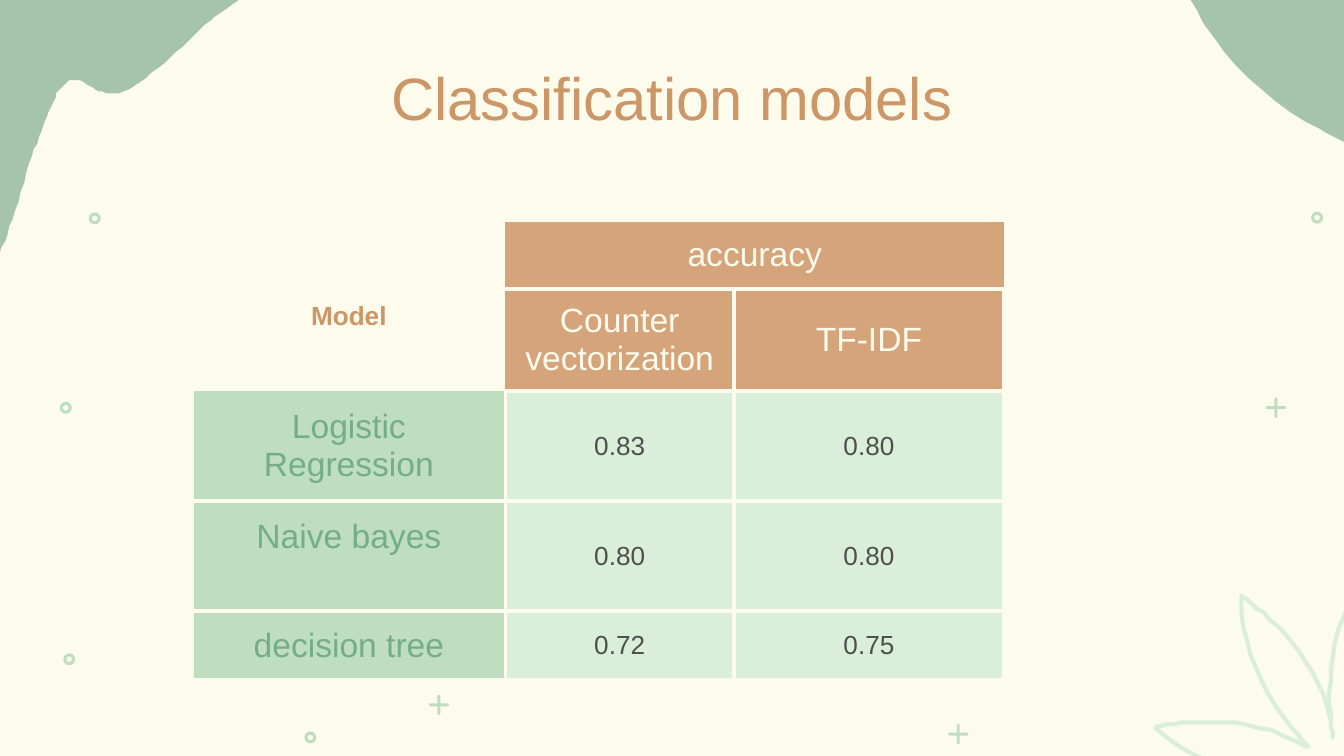
from dataclasses import dataclass
from typing import NamedTuple

from lxml.etree import SubElement
from pptx import Presentation
from pptx.dml.color import RGBColor
from pptx.enum.shapes import MSO_SHAPE
from pptx.enum.text import MSO_ANCHOR, PP_ALIGN
from pptx.oxml import parse_xml
from pptx.oxml.ns import nsdecls, qn
from pptx.util import Pt


@dataclass(frozen=True)
class Theme:
    font: str = "Arial"
    background: str = "FCFBEC"
    wave: str = "A6C4A9"
    leaf: str = "DAEFDA"
    mark: str = "BFDDBF"
    title: str = "CC9666"
    header: str = "D6A47B"
    model: str = "74AE87"
    value: str = "4E4E4D"
    title_size: float = 32
    label_size: float = 18
    value_size: float = 14
    border: float = 2.25
    inset: float = 7.2


class Point(NamedTuple):
    x: float
    y: float


class Outline(NamedTuple):
    start: tuple
    segments: list


class CellStyle(NamedTuple):
    fill: str | None
    color: str
    size: float
    sides: str = "LRTB"
    bold: bool = False
    anchor: MSO_ANCHOR = MSO_ANCHOR.MIDDLE
    extra_bottom: float = 0


class TableCell(NamedTuple):
    row: int
    col: int
    text: str
    style: CellStyle


THEME = Theme()
STEPS = 16

WAVES = [
    Outline((621.4, -56.9), [
        [(625.7, -7.2), (655.2, 39.6), (699.1, 64.8)],
        [(709.9, 71.3), (722.2, 76.3), (733, 82.8)],
        [(757.4, 99.4), (777.6, 126), (805.7, 131.8)],
        [(805.7, -13.7)],
        [(804.2, -51.8)],
        [(803.5, -54), (802.1, -55.4), (800.6, -56.9)],
    ]),
    Outline((-8.6, -14.4), [
        [(17.3, -38.9), (124.6, -22.3), (145.4, -18)],
        [(165.6, -14.4), (128.2, -2.2), (115.2, 8.6)],
        [(102.2, 20.2), (79.9, 43.2), (66.2, 49)],
        [(53.3, 54.7), (44.6, 39.6), (37.4, 43.2)],
        [(29.5, 47.5), (27.4, 57.6), (20.9, 73.4)],
        [(14.4, 89.3), (4.3, 128.2), (-0.7, 136.8)],
        [(-5.8, 146.2), (-8.6, 154.1), (-10.1, 128.9)],
        [(-11.5, 103.7), (-34.6, 10.1), (-8.6, -14.4)],
    ]),
]
LEAVES = [
    Outline((700.6, 399.6), [
        [(699.8, 399.6), (664.9, 364.7), (664.9, 319)],
        [(669.6, 322.6), (704.9, 347), (713.2, 386.3)],
    ]),
    Outline((714.2, 394.6), [
        [(713.9, 394.2), (704.9, 345.6), (730.8, 308.2)],
        [(733.3, 313.2), (747.7, 353.5), (732.6, 390.6)],
    ]),
    Outline((702, 418.7), [
        [(701.3, 418.7), (652, 420.8), (618.8, 389.5)],
        [(623.9, 388.1), (666.4, 379.8), (700.2, 400)],
    ]),
]
RINGS = [Point(37.1, 353.2), Point(35.3, 218.5), Point(50.8, 117),
         Point(166.3, 395.1), Point(705.6, 116.6)]
PLUSES = [Point(235.1, 377.6), Point(513.4, 393.3), Point(683.5, 218.4)]

COLUMNS = [167.8, 122.4, 144.7]
ROWS = [36.7, 36.7, 59, 59, 36.7]
SCORES = [("Logistic Regression", "0.83", "0.80"),
          ("Naive bayes", "0.80", "0.80"),
          ("decision tree", "0.72", "0.75")]

BLANK = CellStyle(None, THEME.title, THEME.value_size, "")
CORNER = CellStyle(None, THEME.title, THEME.value_size, "", True, MSO_ANCHOR.TOP)
HEADER = CellStyle(THEME.header, THEME.background, THEME.label_size)
MODEL = CellStyle(THEME.mark, THEME.model, THEME.label_size)
VALUE = CellStyle(THEME.leaf, THEME.value, THEME.value_size)


def rgb(color: str) -> RGBColor:
    return RGBColor.from_string(color)


def curve(start: tuple, segment: list) -> list[tuple]:
    if len(segment) == 1:
        return segment
    points = [start, *segment]
    samples = []
    for i in range(1, STEPS + 1):
        t = i / STEPS
        weights = ((1 - t) ** 3, 3 * t * (1 - t) ** 2, 3 * t * t * (1 - t), t ** 3)
        samples.append(tuple(sum(w * p[axis] for w, p in zip(weights, points))
                             for axis in (0, 1)))
    return samples


def draw_outline(slide, outline: Outline, closed: bool):
    points, last = [], outline.start
    for segment in outline.segments:
        points += curve(last, segment)
        last = segment[-1]
    builder = slide.shapes.build_freeform(*outline.start, scale=Pt(1))
    builder.add_line_segments(points, close=closed)
    sp = builder.convert_to_shape()
    sp.shadow.inherit = False
    return sp


def draw_wave(slide, outline: Outline) -> None:
    sp = draw_outline(slide, outline, True)
    sp.fill.solid()
    sp.fill.fore_color.rgb = rgb(THEME.wave)
    sp.line.fill.background()


def draw_leaf(slide, outline: Outline) -> None:
    sp = draw_outline(slide, outline, False)
    sp.fill.background()
    sp.line.color.rgb = rgb(THEME.leaf)
    sp.line.width = Pt(THEME.border)
    ln = sp.line._get_or_add_ln()
    ln.set("cap", "rnd")
    SubElement(ln, qn("a:round"))


def draw_mark(slide, kind: MSO_SHAPE, center: Point, w: float, h: float, adjust: float) -> None:
    sp = slide.shapes.add_shape(kind, Pt(center.x - w / 2), Pt(center.y - h / 2), Pt(w), Pt(h))
    sp.adjustments[0] = adjust
    sp.shadow.inherit = False
    sp.fill.solid()
    sp.fill.fore_color.rgb = rgb(THEME.mark)
    sp.line.fill.background()


def draw_plus(slide, center: Point) -> None:
    for w, h in ((1.6, 10.8), (10.8, 1.6)):
        draw_mark(slide, MSO_SHAPE.ROUNDED_RECTANGLE, center, w, h, 0.5)


def format_text(tf, color: str, size: float, bold: bool = False) -> None:
    p = tf.paragraphs[0]
    p.alignment = PP_ALIGN.CENTER
    for r in p.runs:
        r.font.name = THEME.font
        r.font.size = Pt(size)
        r.font.bold = bold
        r.font.color.rgb = rgb(color)


def set_borders(cell, sides: str) -> None:
    tc_pr = cell._tc.get_or_add_tcPr()
    for i, side in enumerate("LRTB"):
        paint = (f'<a:solidFill><a:srgbClr val="{THEME.background}"/></a:solidFill>'
                 if side in sides else "<a:noFill/>")
        tc_pr.insert(i, parse_xml(
            f'<a:ln{side} {nsdecls("a")} w="{Pt(THEME.border)}">{paint}</a:ln{side}>'))


def draw_cell(table, item: TableCell) -> None:
    cell, style = table.cell(item.row, item.col), item.style
    cell.text_frame.text = item.text
    format_text(cell.text_frame, style.color, style.size, style.bold)
    cell.vertical_anchor = style.anchor
    cell.margin_left = cell.margin_right = cell.margin_top = Pt(THEME.inset)
    cell.margin_bottom = Pt(THEME.inset + style.extra_bottom)
    if style.fill:
        cell.fill.solid()
        cell.fill.fore_color.rgb = rgb(style.fill)
    else:
        cell.fill.background()
    set_borders(cell, style.sides)


def draw_table(slide) -> None:
    table = slide.shapes.add_table(len(ROWS), len(COLUMNS), Pt(103), Pt(118),
                                   Pt(sum(COLUMNS)), Pt(sum(ROWS))).table
    table.first_row = table.horz_banding = False
    for column, width in zip(table.columns, COLUMNS):
        column.width = Pt(width)
    for row, height in zip(table.rows, ROWS):
        row.height = Pt(height)
    span = HEADER._replace(sides="TB")
    cells = [TableCell(0, 0, "", BLANK), TableCell(0, 1, "accuracy", span),
             TableCell(0, 2, "", span), TableCell(1, 0, "Model", CORNER),
             TableCell(1, 1, "Counter vectorization", HEADER._replace(sides="RTB")),
             TableCell(1, 2, "TF-IDF", HEADER)]
    model_styles = [MODEL._replace(sides="LRB"), MODEL._replace(extra_bottom=20.6), MODEL]
    for row, (texts, model_style) in enumerate(zip(SCORES, model_styles), start=2):
        for col, text in enumerate(texts):
            cells.append(TableCell(row, col, text, VALUE if col else model_style))
    for item in cells:
        draw_cell(table, item)
    table.cell(0, 1).merge(table.cell(0, 2))


def draw_title(slide) -> None:
    tf = slide.shapes.add_textbox(Pt(54), Pt(40), Pt(612), Pt(24)).text_frame
    tf.word_wrap = True
    tf.vertical_anchor = MSO_ANCHOR.MIDDLE
    tf.margin_left = tf.margin_right = tf.margin_top = tf.margin_bottom = Pt(THEME.inset)
    tf.text = "Classification models"
    format_text(tf, THEME.title, THEME.title_size)


def main() -> None:
    prs = Presentation()
    prs.slide_width, prs.slide_height = Pt(720), Pt(405)
    s = prs.slides.add_slide(prs.slide_layouts[6])
    s.background.fill.solid()
    s.background.fill.fore_color.rgb = rgb(THEME.background)
    for wave in WAVES:
        draw_wave(s, wave)
    for leaf in LEAVES:
        draw_leaf(s, leaf)
    for center in RINGS:
        draw_mark(s, MSO_SHAPE.DONUT, center, 6.4, 6.4, 0.26)
    for center in PLUSES:
        draw_plus(s, center)
    draw_table(s)
    draw_title(s)
    prs.save("out.pptx")


if __name__ == "__main__":
    main()
